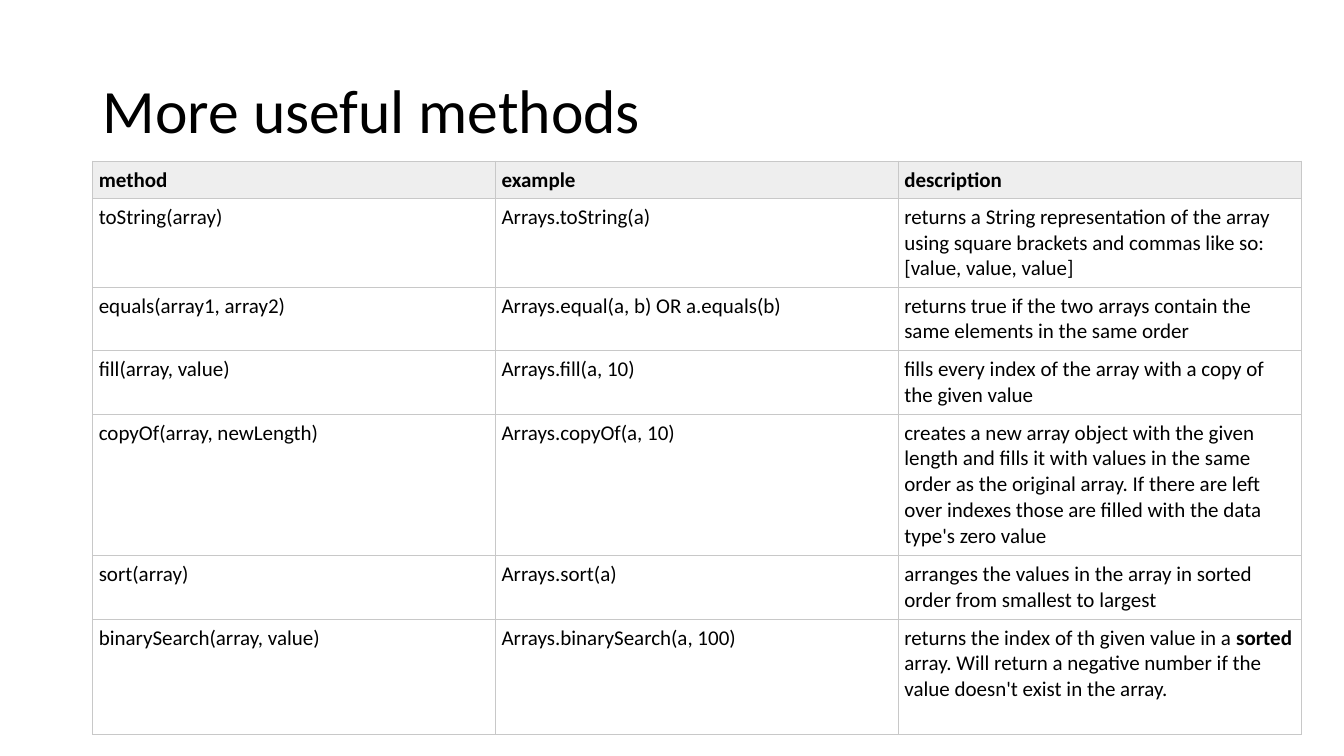
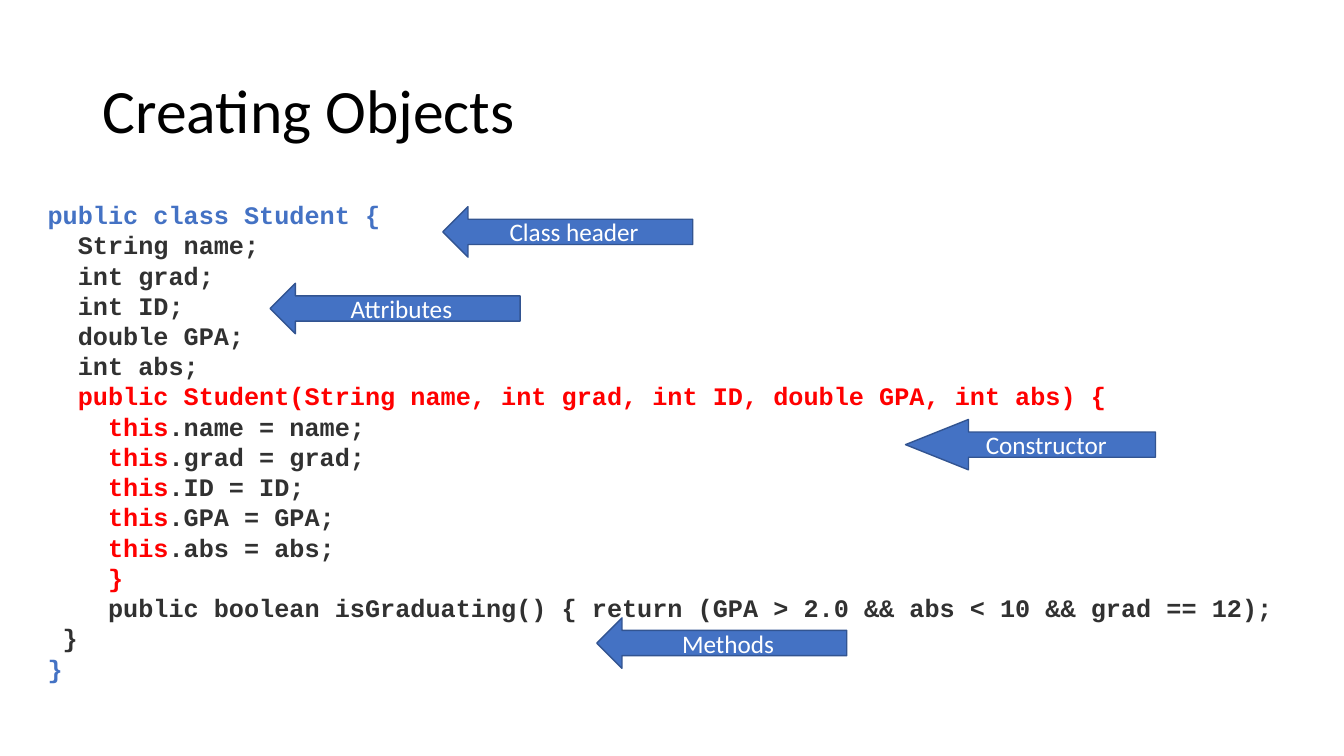
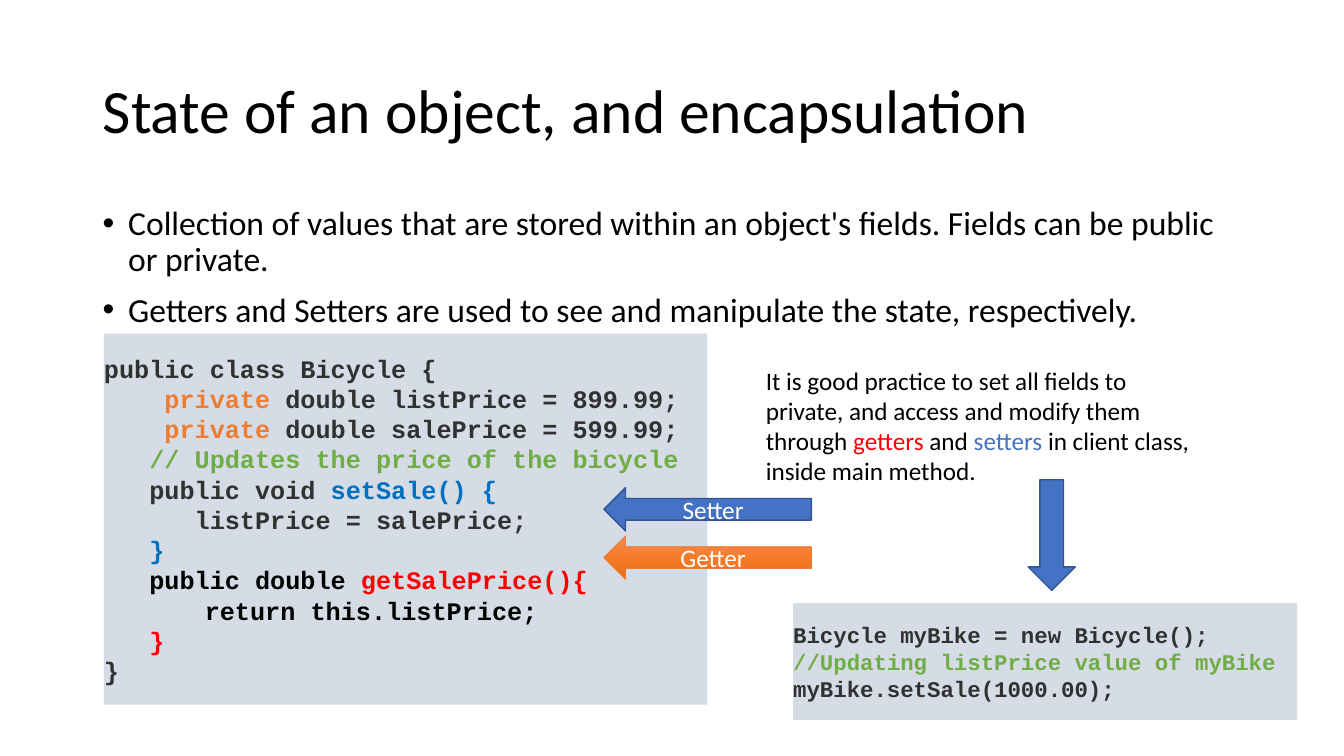
from copy import deepcopy

from pptx import Presentation
from pptx.dml.color import RGBColor
from pptx.enum.shapes import MSO_SHAPE as SHAPE
from pptx.enum.text import MSO_ANCHOR as ANCHOR, PP_ALIGN as ALIGN
from pptx.oxml.ns import qn
from pptx.util import Cm, Pt
from lxml.etree import SubElement

# Shared colours and fonts
BLACK = RGBColor(0x00, 0x00, 0x00)
WHITE = RGBColor(0xFF, 0xFF, 0xFF)
INK = RGBColor(0x31, 0x31, 0x31)
BLUE = RGBColor(0x44, 0x72, 0xC4)
BLUE_EDGE = RGBColor(0x32, 0x54, 0x91)
SETTER_BLUE = RGBColor(0x00, 0x70, 0xC0)
RED = RGBColor(0xFF, 0x00, 0x00)
ORANGE = RGBColor(0xED, 0x7D, 0x31)
ORANGE_STOPS = (RGBColor(0xF1, 0x8C, 0x57), RGBColor(0xF6, 0x7B, 0x28),
                RGBColor(0xE5, 0x6C, 0x19))
GREEN = RGBColor(0x70, 0xAD, 0x47)
PANEL = RGBColor(0xD6, 0xDC, 0xE5)
HEADER = RGBColor(0xEE, 0xEE, 0xEE)
GRID = "C8C8C8"
SANS, MONO = "Calibri", "Courier New"

# Boxes are left, top, width, height in centimetres
TITLE_BOX = (2.34, 1.02, 29.2, 3.68)
TABLE_BOX = (2.34, 4.06, 30.45, 14.44)
CLASS_BOX = (1.2, 4.52, 32.13, 13.2)
STATE_BOX = (2.34, 5.08, 29.2, 12.1)

ROW_HEIGHTS = (0.94, 2.24, 1.6, 1.6, 3.56, 1.6, 2.9)
METHODS = [
    ("method", "example", "description"),
    ("toString(array)", "Arrays.toString(a)",
     "returns a String representation of the array using square brackets "
     "and commas like so: [value, value, value]"),
    ("equals(array1, array2)", "Arrays.equal(a, b) OR a.equals(b)",
     "returns true if the two arrays contain the same elements in the same order"),
    ("fill(array, value)", "Arrays.fill(a, 10)",
     "fills every index of the array with a copy of the given value"),
    ("copyOf(array, newLength)", "Arrays.copyOf(a, 10)",
     "creates a new array object with the given length and fills it with values "
     "in the same order as the original array. If there are left over indexes "
     "those are filled with the data type's zero value"),
    ("sort(array)", "Arrays.sort(a)",
     "arranges the values in the array in sorted order from smallest to largest"),
    ("binarySearch(array, value)", "Arrays.binarySearch(a, 100)",
     ["returns the index of th given value in a ", "sorted",
      " array. Will return a negative number if the value doesn't exist in the array."]),
]

# Code lines: indent in characters, then runs (plain text or text with colour)
STUDENT_CODE = [
    (0, [("public class Student {", BLUE)]),
    *[(2, [field]) for field in ("String name;", "int grad;", "int ID;",
                                 "double GPA;", "int abs;")],
    (2, [("public Student(String name, int grad, int ID, double GPA, int abs) {", RED)]),
    *[(4, [("this", RED), f".{field} = {field};"])
      for field in ("name", "grad", "ID", "GPA", "abs")],
    (4, [("}", RED)]),
    (4, ["public boolean isGraduating() { return (GPA > 2.0 && abs < 10 && grad == 12);"]),
    (1, ["}"]),
    (0, [("}", BLUE)]),
]
BICYCLE_CODE = [
    (0, ["public class Bicycle {"]),
    (4, [("private ", ORANGE), "double listPrice = 899.99;"]),
    (4, [("private ", ORANGE), "double salePrice = 599.99;"]),
    (3, [("// Updates the price of the bicycle", GREEN)]),
    (3, ["public void ", ("setSale() {", SETTER_BLUE)]),
    (6, ["listPrice = salePrice;"]),
    (3, [("}", SETTER_BLUE)]),
    (3, [("public double ", BLACK), ("getSalePrice(){", RED)]),
    (6.67, [("return this.listPrice;", BLACK)]),
    (3, [("}", RED)]),
    (0, ["}"]),
]
CLIENT_CODE = [
    (0, ["Bicycle myBike = new Bicycle();"]),
    (0, [("//Updating listPrice value of myBike", GREEN)]),
    (0, ["myBike.setSale(1000.00);"]),
]


def cm(*lengths):
    return [Cm(n) for n in lengths]


def write(p, runs, size, color=BLACK, font=SANS, bold=False):
    """Fill a paragraph with runs, each plain text or (text, colour)."""
    for run in runs:
        text, tint = (run, color) if isinstance(run, str) else run
        r = p.add_run()
        r.text = text
        r.font.name, r.font.size, r.font.bold = font, Pt(size), bold
        r.font.color.rgb = tint


def next_paragraph(tf, i):
    return tf.add_paragraph() if i else tf.paragraphs[0]


def add_text(s, box, anchor=ANCHOR.TOP):
    tf = s.shapes.add_textbox(*cm(*box)).text_frame
    tf.word_wrap = True
    tf.vertical_anchor = anchor
    return tf


def add_filled(s, kind, box, fill, edge=None):
    sp = s.shapes.add_shape(kind, *cm(*box))
    sp.shadow.inherit = False
    sp.fill.solid()
    sp.fill.fore_color.rgb = fill
    if edge is None:
        sp.line.fill.background()
    else:
        sp.line.color.rgb = edge
        sp.line.width = Pt(1)
    return sp


def add_title(s, text):
    p = add_text(s, TITLE_BOX, ANCHOR.MIDDLE).paragraphs[0]
    p.line_spacing = 0.9
    write(p, [text], 44)


def add_code(s, box, lines, size=18, fill=PANEL):
    tf = add_filled(s, SHAPE.RECTANGLE, box, fill).text_frame
    tf.word_wrap = True
    tf.vertical_anchor = ANCHOR.MIDDLE
    tf.margin_left = tf.margin_right = 0
    tf.margin_top = tf.margin_bottom = Cm(0.43)
    for i, (indent, runs) in enumerate(lines):
        p = next_paragraph(tf, i)
        p.alignment = ALIGN.LEFT
        # One Courier character is 0.6 of the type size wide
        p._p.get_or_add_pPr().set("marL", str(int(Pt(indent * 0.6 * size))))
        write(p, runs, size, INK, MONO, True)


def add_arrow(s, box, label):
    sp = add_filled(s, SHAPE.LEFT_ARROW, box, BLUE, BLUE_EDGE)
    tf = sp.text_frame
    tf.vertical_anchor = ANCHOR.MIDDLE
    tf.paragraphs[0].alignment = ALIGN.CENTER
    write(tf.paragraphs[0], [label], 18, WHITE)
    return sp


def shade_orange(sp):
    """Give an arrow the three-stop orange gradient, top to bottom."""
    sp.fill.gradient()
    sp.fill.gradient_angle = 270
    stops = sp._element.spPr.find(".//" + qn("a:gsLst"))
    stops.insert(1, deepcopy(stops[0]))
    for i, (stop, color) in enumerate(zip(sp.fill.gradient_stops, ORANGE_STOPS)):
        stop.position = i / 2
        stop.color.rgb = color
    sp.line.color.rgb = ORANGE
    sp.line.width = Pt(0.5)


def set_borders(cell):
    tcPr = cell._tc.get_or_add_tcPr()
    for i, side in enumerate(("a:lnL", "a:lnR", "a:lnT", "a:lnB")):
        ln = tcPr.makeelement(qn(side), {"w": str(int(Pt(0.75)))})
        SubElement(SubElement(ln, qn("a:solidFill")), qn("a:srgbClr"), val=GRID)
        tcPr.insert(i, ln)


def methods_table(s, box):
    rows, cols = len(METHODS), len(METHODS[0])
    table = s.shapes.add_table(rows, cols, *cm(*box)).table
    for col in table.columns:
        col.width = Cm(box[2] / cols)
    for i, (height, texts) in enumerate(zip(ROW_HEIGHTS, METHODS)):
        table.rows[i].height = Cm(height)
        for j, text in enumerate(texts):
            cell = table.cell(i, j)
            cell.margin_left = cell.margin_right = Cm(0.15)
            cell.margin_top = cell.margin_bottom = Cm(0.15)
            cell.vertical_anchor = ANCHOR.TOP if i else ANCHOR.MIDDLE
            cell.fill.solid()
            cell.fill.fore_color.rgb = WHITE if i else HEADER
            set_borders(cell)
            runs = [text] if isinstance(text, str) else text
            write(cell.text_frame.paragraphs[0], runs, 15, bold=i == 0)
    # The word "sorted" stands out in the last description
    table.cell(rows - 1, cols - 1).text_frame.paragraphs[0].runs[1].font.bold = True


def class_anatomy(s, box):
    x, y = box[:2]
    add_code(s, box, STUDENT_CODE, fill=WHITE)
    arrows = {}
    for label, dx, dy in (("Class header", 9.96, 0.69), ("Constructor", 21.62, 6.05),
                          ("Attributes", 5.61, 2.62), ("Methods", 13.84, 11.05)):
        arrows[label] = add_arrow(s, (x + dx, y + dy, 6.3, 1.27), label)
    arrows["Constructor"].adjustments[1] = 1.25


def bullet_list(s, box, items):
    tf = add_text(s, box)
    for i, item in enumerate(items):
        p = next_paragraph(tf, i)
        p.line_spacing = 0.9
        p.space_before = Pt(10)
        pPr = p._p.get_or_add_pPr()
        pPr.set("marL", str(Cm(0.64)))
        pPr.set("indent", str(-Cm(0.64)))
        SubElement(pPr, qn("a:buFont"), typeface="Arial")
        SubElement(pPr, qn("a:buChar"), char="•")
        write(p, [item], 24)


def object_state(s, box):
    x, y = box[:2]
    bullet_list(s, box, [
        "Collection of values that are stored within an object's fields. "
        "Fields can be public or private.",
        "Getters and Setters are used to see and manipulate the state, respectively."])
    add_code(s, (x + 0.28, y + 3.33, 15.21, 9.35), BICYCLE_CODE)
    # Advice on private fields
    note = add_text(s, (x + 16.71, y + 3.99, 11.4, 3.33))
    write(note.paragraphs[0], [
        "It is good practice to set all fields to private, and access and modify "
        "them through ", ("getters", RED), " and ", ("setters ", BLUE),
        "in client class, inside main method."], 18)
    # Arrows to the two methods
    setter, getter = [add_arrow(s, (x + 12.88, y + 7.21 + 1.22 * i, 5.23, 1.09), label)
                      for i, label in enumerate(("Setter", "Getter"))]
    shade_orange(getter)
    # Client code
    add_code(s, (x + 17.65, y + 10.11, 12.7, 2.95), CLIENT_CODE, size=16)
    add_filled(s, SHAPE.DOWN_ARROW, (x + 23.57, y + 7.01, 1.19, 2.79), BLUE, BLUE_EDGE)


def main():
    prs = Presentation()
    prs.slide_width, prs.slide_height = cm(33.87, 19.05)
    for title, build, box in (
            ("More useful methods", methods_table, TABLE_BOX),
            ("Creating Objects", class_anatomy, CLASS_BOX),
            ("State of an object, and encapsulation", object_state, STATE_BOX)):
        s = prs.slides.add_slide(prs.slide_layouts[6])
        add_title(s, title)
        build(s, box)
    prs.save("out.pptx")


if __name__ == "__main__":
    main()
